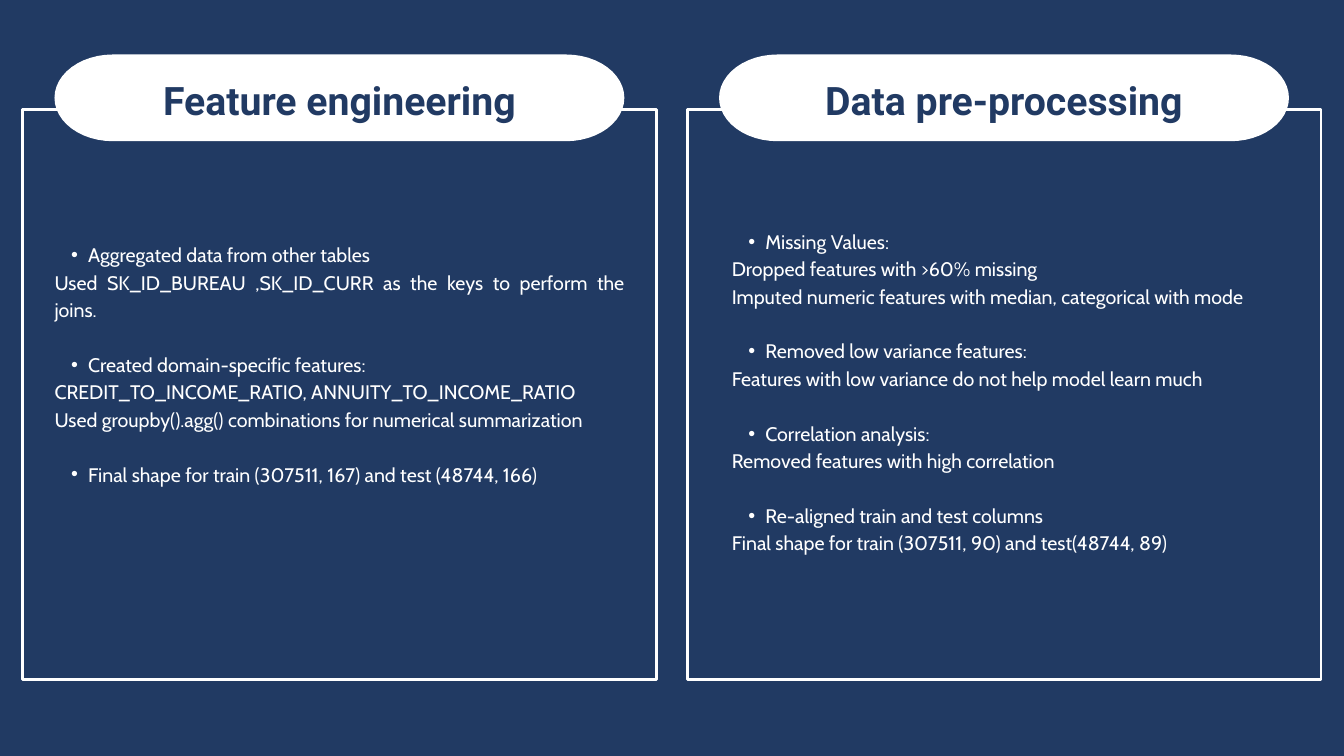
from math import cos, pi, sin

from lxml.etree import SubElement
from pptx import Presentation
from pptx.dml.color import RGBColor
from pptx.enum.shapes import MSO_SHAPE
from pptx.enum.text import MSO_ANCHOR, MSO_AUTO_SIZE, PP_ALIGN
from pptx.oxml.ns import qn
from pptx.util import Cm, Pt

NAVY = "213A63"
WHITE = "FFFFFF"
PANEL_LEFTS = (0.86, 25.98)
PILL_INSET = 1.2
PILL_TOP, PILL_WIDTH, PILL_HEIGHT = 2.06, 21.54, 3.28
PILL_CORNER = 2.21

# In the lists, each topic is a bullet followed by its plain detail lines.
ENGINEERING = [
    ("Aggregated data from other tables",
     ["Used SK_ID_BUREAU ,SK_ID_CURR as the keys to perform the joins."]),
    ("Created domain-specific features:",
     ["CREDIT_TO_INCOME_RATIO, ANNUITY_TO_INCOME_RATIO",
      "Used groupby().agg() combinations for numerical summarization"]),
    ("Final shape for train (307511, 167) and test (48744, 166)", []),
]
PREPROCESSING = [
    ("Missing Values:",
     ["Dropped features with >60% missing",
      "Imputed numeric features with median, categorical with mode"]),
    ("Removed low variance features:",
     ["Features with low variance do not help model learn much"]),
    ("Correlation analysis:", ["Removed features with high correlation"]),
    ("Re-aligned train and test columns",
     ["Final shape for train (307511, 90) and test(48744, 89)"]),
]


def colour(hex_value):
    return RGBColor.from_string(hex_value)


def add_frame(slide, left):
    frame = slide.shapes.add_shape(
        MSO_SHAPE.RECTANGLE, Cm(left), Cm(4.14), Cm(23.95), Cm(21.56))
    frame.shadow.inherit = False
    frame.fill.background()
    frame.line.color.rgb = colour(WHITE)
    frame.line.width = Pt(3)


def add_pill(slide, left, steps=24):
    """Draw a bar whose corners are quarter ellipses, wider than high."""
    radius_y = PILL_HEIGHT / 2
    middle = PILL_TOP + radius_y
    centres = (left + PILL_WIDTH - PILL_CORNER, left + PILL_CORNER)
    outline = []
    for side, centre in enumerate(centres):
        for step in range(steps + 1):
            angle = -pi / 2 + pi * (side + step / steps)
            outline.append((Cm(centre + PILL_CORNER * cos(angle)),
                            Cm(middle + radius_y * sin(angle))))
    builder = slide.shapes.build_freeform(*outline[0])
    builder.add_line_segments(outline[1:], close=True)
    pill = builder.convert_to_shape()
    pill.shadow.inherit = False
    pill.fill.solid()
    pill.fill.fore_color.rgb = colour(WHITE)
    pill.line.fill.background()


def prepare_placeholder(slide, holder, left, top, width, height):
    """Place a placeholder in front of the panels and return its text frame."""
    holder.left, holder.top = Cm(left), Cm(top)
    holder.width, holder.height = Cm(width), Cm(height)
    slide.shapes._spTree.append(holder._element)
    frame = holder.text_frame
    frame.margin_left = frame.margin_right = 0
    frame.margin_top = frame.margin_bottom = 0
    frame.word_wrap = True
    frame.auto_size = MSO_AUTO_SIZE.NONE
    frame.vertical_anchor = MSO_ANCHOR.TOP
    return frame


def format_paragraph(paragraph, font_name, size, hex_value, align, bold=False):
    paragraph.alignment = align
    paragraph.line_spacing = Pt(size * 1.4)
    paragraph.space_before = paragraph.space_after = Pt(0)
    font = paragraph.font
    font.name, font.size, font.bold = font_name, Pt(size), bold
    font.color.rgb = colour(hex_value)


def set_bullet(paragraph, bulleted):
    properties = paragraph._p.get_or_add_pPr()
    properties.set("marL", str(Cm(1.27) if bulleted else 0))
    properties.set("indent", str(-Cm(0.64) if bulleted else 0))
    if bulleted:
        SubElement(properties, qn("a:buChar")).set("char", "•")
    else:
        SubElement(properties, qn("a:buNone"))


def fill_heading(slide, holder, left, wording):
    frame = prepare_placeholder(slide, holder, left, 2.57, PILL_WIDTH, 1.98)
    heading = frame.paragraphs[0]
    heading.text = wording
    set_bullet(heading, False)
    format_paragraph(heading, "Roboto", 42, NAVY, PP_ALIGN.CENTER, bold=True)


def fill_list(slide, holder, box, topics):
    frame = prepare_placeholder(slide, holder, *box)
    lines = []
    for topic, details in topics:
        lines.append((topic, True))
        lines.extend((detail, False) for detail in details)
    for number, (wording, bulleted) in enumerate(lines):
        line = frame.add_paragraph() if number else frame.paragraphs[0]
        line.text = wording
        set_bullet(line, bulleted)
        format_paragraph(line, "Cabin", 21, WHITE, PP_ALIGN.JUSTIFY)
        if bulleted:
            line.level = 1
            if number:
                line.space_before = Pt(29.4)


def main():
    deck = Presentation()
    deck.slide_width, deck.slide_height = Cm(50.8), Cm(28.58)
    slide = deck.slides.add_slide(deck.slide_layouts.get_by_name("Comparison"))
    slide.background.fill.solid()
    slide.background.fill.fore_color.rgb = colour(NAVY)

    holders = {holder.placeholder_format.idx: holder
               for holder in slide.placeholders}
    spare = holders[1]._element
    spare.getparent().remove(spare)

    panels = [
        (holders[0], "Feature engineering",
         holders[2], (2.06, 9.04, 21.54, 10.29), ENGINEERING),
        (holders[3], "Data pre-processing",
         holders[4], (27.66, 8.53, 20.6, 13.36), PREPROCESSING),
    ]
    for left, panel in zip(PANEL_LEFTS, panels):
        heading_holder, heading, list_holder, list_box, topics = panel
        pill_left = left + PILL_INSET
        add_frame(slide, left)
        add_pill(slide, pill_left)
        fill_heading(slide, heading_holder, pill_left, heading)
        fill_list(slide, list_holder, list_box, topics)

    deck.save("out.pptx")


if __name__ == "__main__":
    main()
